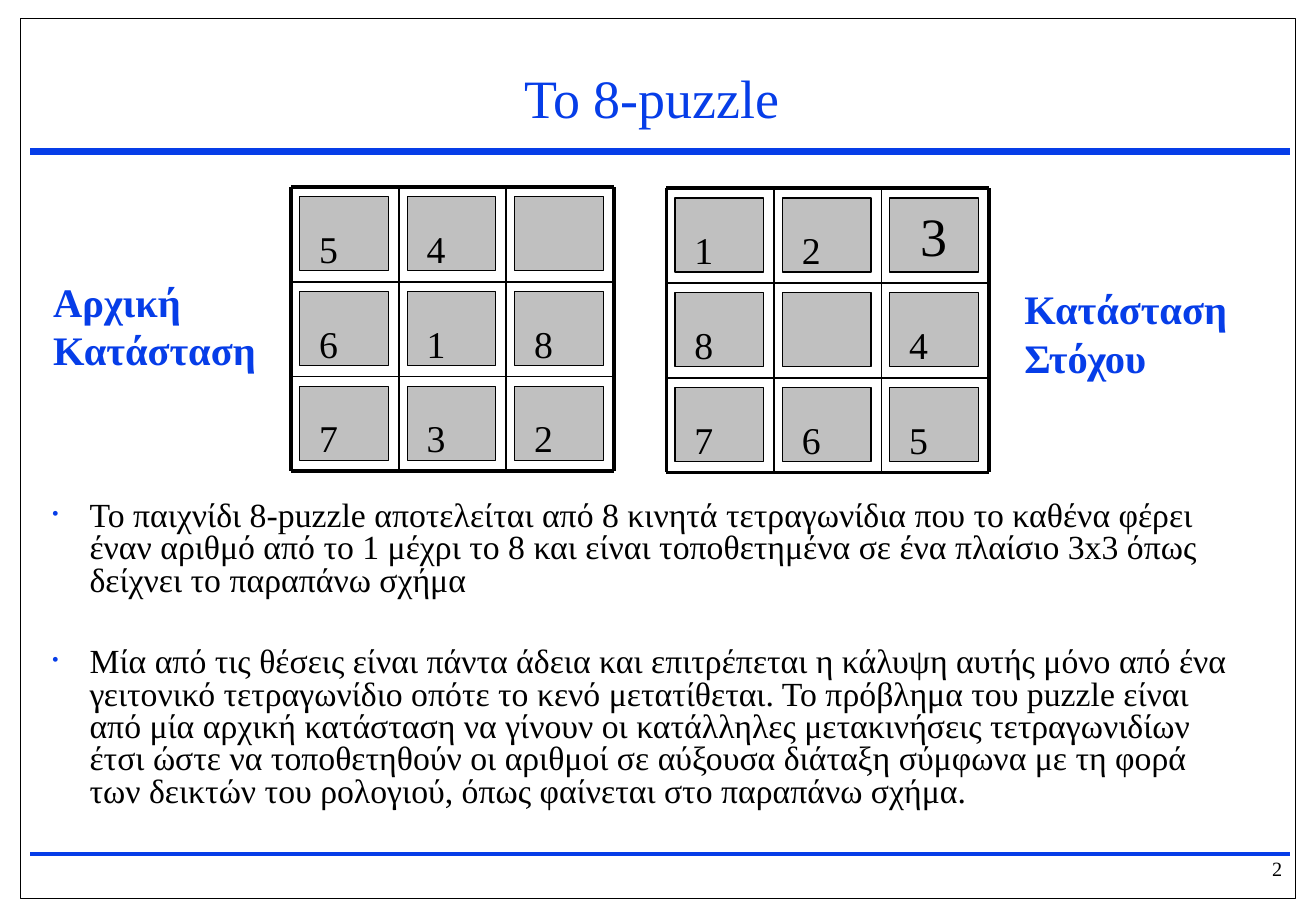
from lxml.etree import SubElement
from pptx import Presentation
from pptx.dml.color import RGBColor
from pptx.enum.shapes import MSO_CONNECTOR, MSO_SHAPE
from pptx.enum.text import MSO_ANCHOR, PP_ALIGN
from pptx.oxml.ns import qn
from pptx.util import Inches, Pt

COLORS = {"blue": "063DE8", "black": "000000", "tile": "C0C0C0"}
FONT = "Times New Roman"
CELL_WIDTH, CELL_HEIGHT = 0.885, 0.78
INITIAL_STATE = ["54 ", "618", "732"]
GOAL_STATE = ["123", "8 4", "765"]
RULES = [
    "Το παιχνίδι 8-puzzle αποτελείται από 8 κινητά τετραγωνίδια που το καθένα φέρει "
    "έναν αριθμό από το 1 μέχρι το 8 και είναι τοποθετημένα σε ένα πλαίσιο 3x3 όπως "
    "δείχνει το παραπάνω σχήμα",
    "Μία από τις θέσεις είναι πάντα άδεια και επιτρέπεται η κάλυψη αυτής μόνο από ένα "
    "γειτονικό τετραγωνίδιο οπότε το κενό μετατίθεται. Το πρόβλημα του puzzle είναι "
    "από μία αρχική κατάσταση να γίνουν οι κατάλληλες μετακινήσεις τετραγωνιδίων "
    "έτσι ώστε να τοποθετηθούν οι αριθμοί σε αύξουσα διάταξη σύμφωνα με τη φορά "
    "των δεικτών του ρολογιού, όπως φαίνεται στο παραπάνω σχήμα.",
]


def color(name):
    return RGBColor.from_string(COLORS[name])


def write(para, text, size, tint="black", bold=False, align=PP_ALIGN.LEFT):
    para.alignment = align
    span = para.add_run()
    span.text = text
    span.font.name = FONT
    span.font.size = Pt(size)
    span.font.bold = bold
    span.font.color.rgb = color(tint)


def add_text(page, left, top, width, height, lines, anchor=MSO_ANCHOR.TOP, wrap=True, **style):
    box = page.shapes.add_textbox(Inches(left), Inches(top), Inches(width), Inches(height))
    frame = box.text_frame
    frame.word_wrap = wrap
    frame.vertical_anchor = anchor
    for index, line in enumerate(lines):
        para = frame.add_paragraph() if index else frame.paragraphs[0]
        write(para, line, **style)
    return box


def add_line(page, start, end, tint, weight):
    line = page.shapes.add_connector(
        MSO_CONNECTOR.STRAIGHT, *(Inches(value) for value in (*start, *end))
    )
    line.line.color.rgb = color(tint)
    line.line.width = Pt(weight)
    SubElement(line._element.spPr, qn("a:effectLst"))


def add_rectangle(page, left, top, width, height, weight, fill=None):
    shape = page.shapes.add_shape(
        MSO_SHAPE.RECTANGLE, Inches(left), Inches(top), Inches(width), Inches(height)
    )
    shape.shadow.inherit = False
    if fill:
        shape.fill.solid()
        shape.fill.fore_color.rgb = color(fill)
    else:
        shape.fill.background()
    shape.line.color.rgb = color("black")
    shape.line.width = Pt(weight)
    return shape


def add_tile(page, left, top, digit, large):
    tile = add_rectangle(page, left + 0.07, top + 0.08, 0.73, 0.61, 0.75, "tile")
    if digit == " ":
        return
    frame = tile.text_frame
    if large:
        frame.vertical_anchor = MSO_ANCHOR.MIDDLE
        write(frame.paragraphs[0], digit, 32, align=PP_ALIGN.CENTER)
    else:
        frame.vertical_anchor = MSO_ANCHOR.BOTTOM
        frame.margin_left = Inches(0.16)
        frame.margin_top = frame.margin_bottom = 0
        write(frame.paragraphs[0], digit, 22.4)


def add_board(page, left, top, state, large_digit=None):
    for row, digits in enumerate(state):
        for column, digit in enumerate(digits):
            add_tile(page, left + column * CELL_WIDTH, top + row * CELL_HEIGHT,
                     digit, digit == large_digit)
    right, bottom = left + 3 * CELL_WIDTH, top + 3 * CELL_HEIGHT
    for index in range(4):
        weight = 2.25 if index in (0, 3) else 1
        x, y = left + index * CELL_WIDTH, top + index * CELL_HEIGHT
        add_line(page, (left, y), (right, y), "black", weight)
        add_line(page, (x, top), (x, bottom), "black", weight)


def add_bullet(para):
    properties = para._p.get_or_add_pPr()
    properties.set("marL", str(Inches(0.31)))
    properties.set("indent", str(Inches(-0.31)))
    bullet_color = SubElement(properties, qn("a:buClr"))
    SubElement(bullet_color, qn("a:srgbClr"), val=COLORS["blue"])
    SubElement(properties, qn("a:buSzPct"), val="60000")
    SubElement(properties, qn("a:buFont"), typeface=FONT)
    SubElement(properties, qn("a:buChar"), char="•")


def add_rules(page):
    box = add_text(page, 0.33, 4.08, 9.97, 2.72, RULES, size=20)
    for para, space in zip(box.text_frame.paragraphs, (5, 29)):
        para.line_spacing = 0.8
        para.space_before = Pt(space)
        add_bullet(para)


def main():
    deck = Presentation()
    deck.slide_width, deck.slide_height = Inches(10.84), Inches(7.5)
    page = deck.slides.add_slide(deck.slide_layouts[6])

    add_line(page, (0.25, 1.25), (10.63, 1.25), "blue", 4)
    add_text(page, 9.98, 7, 0.68, 0.3, ["2"], size=12, align=PP_ALIGN.RIGHT)
    add_rectangle(page, 0.17, 0.15, 10.5, 7.25, 0.5)
    add_line(page, (0.25, 7.03), (10.63, 7.03), "blue", 2.25)
    add_text(page, 0.33, 0.42, 10.08, 0.75, ["Το 8-puzzle"], anchor=MSO_ANCHOR.MIDDLE,
             size=32, tint="blue", align=PP_ALIGN.CENTER)

    add_board(page, 2.4, 1.54, INITIAL_STATE)
    add_board(page, 5.49, 1.55, GOAL_STATE, large_digit="3")
    label = {"wrap": False, "size": 24, "tint": "blue", "bold": True}
    add_text(page, 0.34, 2.23, 1.87, 0.9, ["Αρχική", "Κατάσταση"], **label)
    add_text(page, 8.34, 2.29, 1.96, 0.9, ["Κατάσταση", "Στόχου"], **label)
    add_rules(page)

    deck.save("out.pptx")


if __name__ == "__main__":
    main()
